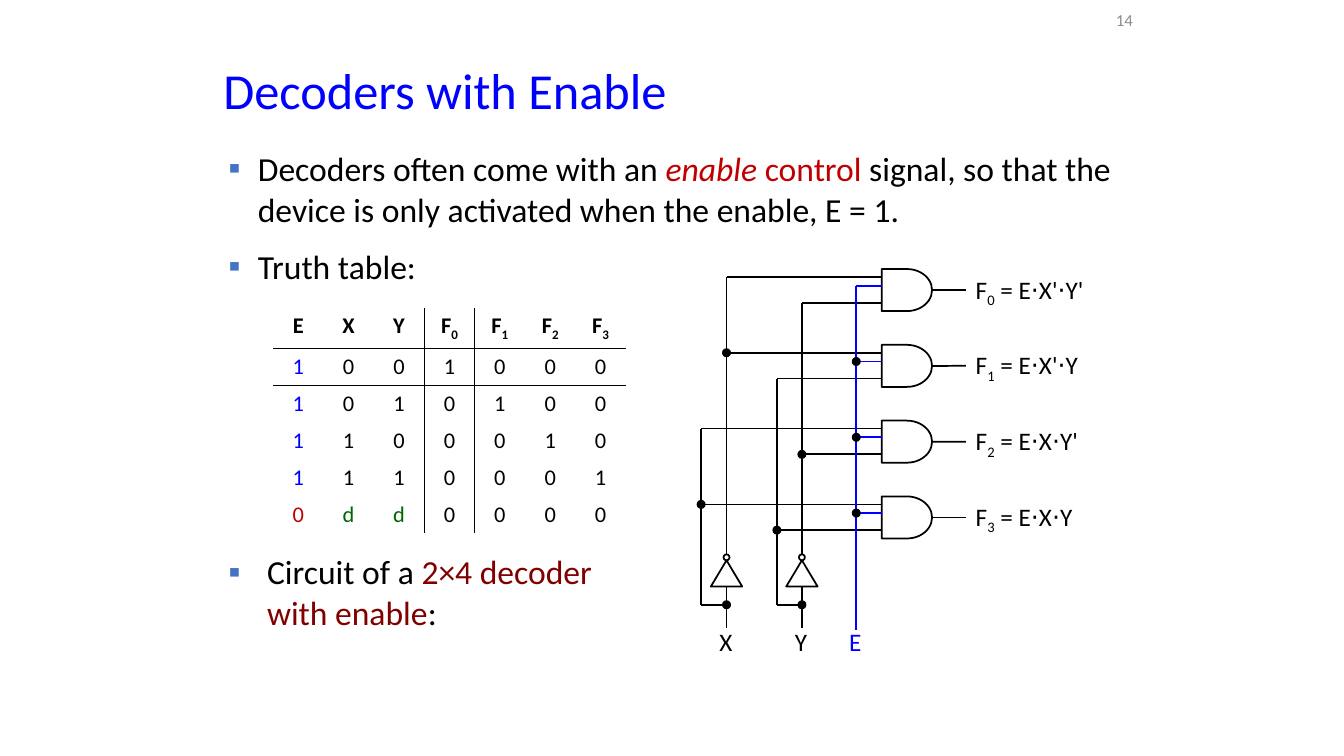
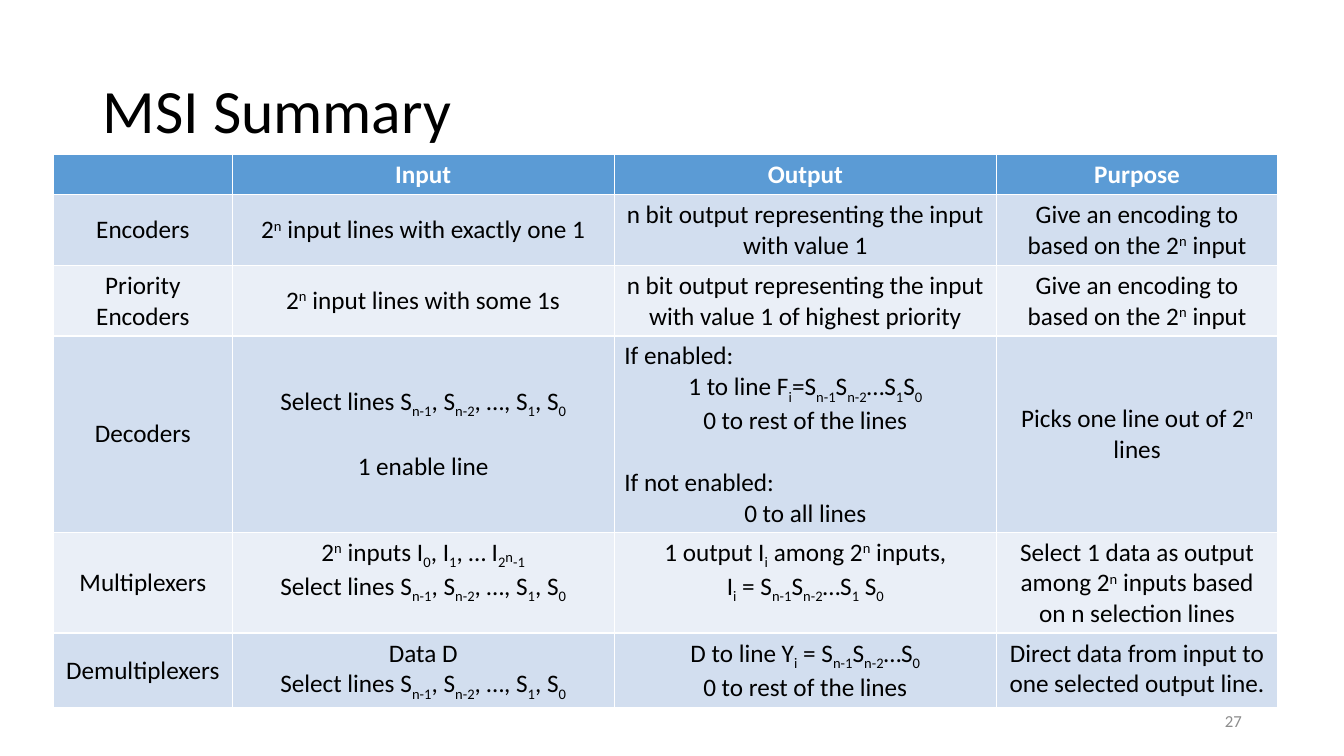
from dataclasses import dataclass
from typing import NamedTuple

from lxml import etree
from pptx import Presentation
from pptx.dml.color import RGBColor
from pptx.enum.shapes import MSO_CONNECTOR, MSO_SHAPE
from pptx.enum.text import MSO_ANCHOR, PP_ALIGN
from pptx.oxml.ns import qn
from pptx.util import Cm, Pt

LEFT, CENTER, RIGHT = PP_ALIGN.LEFT, PP_ALIGN.CENTER, PP_ALIGN.RIGHT
TOP, MIDDLE = MSO_ANCHOR.TOP, MSO_ANCHOR.MIDDLE
GATE, TRIANGLE, OVAL = (MSO_SHAPE.FLOWCHART_DELAY, MSO_SHAPE.ISOSCELES_TRIANGLE,
                        MSO_SHAPE.OVAL)
STRAIGHT = MSO_CONNECTOR.STRAIGHT
PLAIN_TABLE_STYLE = "{2D5ABB26-0587-4C30-8999-92F81FD0307C}"


@dataclass(frozen=True)
class Theme:
    font: str = "Calibri"
    black: str = "000000"
    white: str = "FFFFFF"
    blue: str = "0000FF"
    red: str = "C00000"
    maroon: str = "800000"
    green: str = "006600"
    grey: str = "8C8C8C"
    bullet: str = "4472C4"
    header: str = "5B9BD5"
    bands: tuple = ("D2DEEF", "EAEFF7")
    summary_title: int = 44
    title: int = 36
    body: int = 24
    label: int = 18
    truth: int = 16
    page: int = 12
    wire: float = 1.25


class Box(NamedTuple):
    """A region of the slide in centimetres."""
    left: float
    top: float
    width: float
    height: float


THEME = Theme()

# The first letter inside braces chooses the format of that run.
RUN_MARKS = {
    "_": {"baseline": -25000},
    "^": {"baseline": 30000},
    "~": {"baseline": -6000},
    "!": {"color": THEME.red},
    "/": {"color": THEME.red, "italic": True},
    "#": {"color": THEME.maroon},
}


def rgb(value):
    return RGBColor.from_string(value)


def add_run(paragraph, text, size, color, bold=False, italic=False, baseline=0):
    run = paragraph.add_run()
    run.text = text
    font = run.font
    font.name, font.size = THEME.font, Pt(size)
    font.bold, font.italic = bold, italic
    font.color.rgb = rgb(color)
    if baseline:
        run._r.get_or_add_rPr().set("baseline", str(baseline))


def set_bullet(paragraph, indent):
    props = paragraph._p.get_or_add_pPr()
    props.set("marL", str(Cm(indent)))
    props.set("indent", str(-Cm(indent)))
    color = etree.SubElement(props, qn("a:buClr"))
    etree.SubElement(color, qn("a:srgbClr")).set("val", THEME.bullet)
    etree.SubElement(props, qn("a:buFont")).set("typeface", THEME.font)
    etree.SubElement(props, qn("a:buChar")).set("char", "▪")


def write_text(frame, paragraphs, size=THEME.label, color=THEME.black, bold=False,
               align=LEFT, gap=0, line_spacing=None, bullet_indent=None):
    """Write marked-up paragraphs; a (text, format) pair overrides align or gap."""
    if isinstance(paragraphs, str):
        paragraphs = [paragraphs]
    for number, item in enumerate(paragraphs):
        text, own = (item, {}) if isinstance(item, str) else item
        paragraph = frame.add_paragraph() if number else frame.paragraphs[0]
        paragraph.alignment = own.get("align", align)
        paragraph.space_before = Pt(own.get("gap", gap))
        if line_spacing:
            paragraph.line_spacing = line_spacing
        if bullet_indent:
            set_bullet(paragraph, bullet_indent)
        for position, part in enumerate(text.replace("}", "{").split("{")):
            look = {"size": size, "color": color, "bold": bold}
            if position % 2:
                look.update(RUN_MARKS[part[0]])
                part = part[1:]
            if part:
                add_run(paragraph, part, **look)


def add_text(slide, box, paragraphs, anchor=TOP, **text_format):
    frame = slide.shapes.add_textbox(*map(Cm, box)).text_frame
    frame.word_wrap = True
    frame.vertical_anchor = anchor
    write_text(frame, paragraphs, **text_format)


def add_title(slide, box, text, **text_format):
    add_text(slide, box, text, anchor=MIDDLE, line_spacing=0.9, **text_format)


def add_page_number(slide, box, number):
    add_text(slide, box, number, anchor=MIDDLE, align=RIGHT,
             size=THEME.page, color=THEME.grey)


def add_outline(slide, kind, box, fill=None, width=THEME.wire):
    outline = slide.shapes.add_shape(kind, *map(Cm, box))
    outline.shadow.inherit = False
    outline.line.color.rgb = rgb(THEME.black)
    outline.line.width = Pt(width)
    if fill:
        outline.fill.solid()
        outline.fill.fore_color.rgb = rgb(fill)
    else:
        outline.fill.background()
    return outline


def add_wire(slide, x1, y1, x2, y2, color=THEME.black):
    wire = slide.shapes.add_connector(STRAIGHT, *map(Cm, (x1, y1, x2, y2)))
    wire.line.color.rgb = rgb(color)
    wire.line.width = Pt(THEME.wire)
    etree.SubElement(wire._element.spPr, qn("a:effectLst"))
    return wire


def add_junction(slide, x, y, size=0.2):
    add_outline(slide, OVAL, Box(x - size / 2, y - size / 2, size, size),
                fill=THEME.black, width=0.75)


def add_grid(slide, box, widths, row_heights):
    table = slide.shapes.add_table(len(row_heights), len(widths), *map(Cm, box)).table
    for column, width in zip(table.columns, widths):
        column.width = Cm(width)
    for row, height in zip(table.rows, row_heights):
        row.height = Cm(height)
    return table


def rule_cell(cell, side):
    """Draw a black rule on one side ("lnR" or "lnB") of a cell."""
    line = etree.Element(qn("a:" + side), w=str(Pt(1)))
    fill = etree.SubElement(line, qn("a:solidFill"))
    etree.SubElement(fill, qn("a:srgbClr")).set("val", THEME.black)
    props = cell._tc.get_or_add_tcPr()
    props.insert(len(props.findall(qn("a:lnR"))), line)


def truth_color(row, column, value):
    if row == 0:
        return THEME.black
    if column == 0:
        return THEME.blue if value == "1" else THEME.red
    return THEME.green if value == "d" else THEME.black


def add_truth_table(slide, box):
    rows = [["E", "X", "Y", "F{_0}", "F{_1}", "F{_2}", "F{_3}"],
            "1001000", "1010100", "1100010", "1110001", "0dd0000"]
    columns = len(rows[0])
    table = add_grid(slide, box, [box.width / columns] * columns,
                     [box.height / len(rows)] * len(rows))
    table.first_row = table.horz_banding = False
    table._tbl.tblPr.find(qn("a:tableStyleId")).text = PLAIN_TABLE_STYLE
    for r, values in enumerate(rows):
        for c, value in enumerate(values):
            cell = table.cell(r, c)
            cell.fill.background()
            write_text(cell.text_frame, value, size=THEME.truth, bold=r == 0,
                       align=CENTER, color=truth_color(r, c, value))
            if c in (2, 3):
                rule_cell(cell, "lnR")
            if r in (0, 1):
                rule_cell(cell, "lnB")


def add_decoder_circuit(slide, box):
    """Draw four AND gates fed by X, Y, their complements and E."""
    gate_pitch, gate_width, gate_height = 1.91, 1.27, 1.06
    upper_pin, enable_pin, lower_pin = 0.2, 0.42, 0.85
    bubble_top, bubble, inverter_width, inverter_height = 7.19, 0.15, 0.79, 0.66
    x, x_not, y, y_not, enable, gate = (
        box.left + offset for offset in (0, 0.64, 1.91, 2.54, 3.91, 4.55))
    output = gate + gate_width
    formula = output + 0.85
    bubble_y = box.top + bubble_top
    inverter_y = bubble_y + bubble
    branch_y = box.top + 8.46
    stem_end = box.top + 9.04
    label_y = box.top + 8.89

    def pin_y(row, pin):
        return box.top + row * gate_pitch + pin

    formulas = ["E⋅X'⋅Y'", "E⋅X'⋅Y", "E⋅X⋅Y'", "E⋅X⋅Y"]
    for row, product in enumerate(formulas):
        top = pin_y(row, 0)
        and_gate = add_outline(slide, GATE, Box(gate, top, gate_width, gate_height))
        middle = top + gate_height / 2
        add_wire(slide, output, middle, formula, middle).begin_connect(and_gate, 3)
        add_text(slide, Box(formula, top, 4.02, 1.02), f"F{{_{row}}} = {product}")
        pin = pin_y(row, enable_pin)
        add_wire(slide, enable, pin, gate, pin, THEME.blue)

    # Each rail feeds one pin of two gates and runs down to its end.
    for rail, pin, gate_rows, end in [(x_not, upper_pin, (0, 1), bubble_y),
                                      (x, upper_pin, (2, 3), branch_y),
                                      (y_not, lower_pin, (0, 2), bubble_y),
                                      (y, lower_pin, (1, 3), branch_y)]:
        first, second = (pin_y(row, pin) for row in gate_rows)
        add_wire(slide, rail, first, rail, end)
        for level in (first, second):
            add_wire(slide, rail, level, gate, level)
        add_junction(slide, rail, second)

    for name, direct, inverted in [("X", x, x_not), ("Y", y, y_not)]:
        add_outline(slide, OVAL,
                    Box(inverted - bubble / 2, bubble_y, bubble, bubble))
        add_outline(slide, TRIANGLE, Box(inverted - inverter_width / 2, inverter_y,
                                         inverter_width, inverter_height))
        add_wire(slide, inverted, inverter_y + inverter_height, inverted, stem_end)
        add_wire(slide, direct, branch_y, inverted, branch_y)
        add_junction(slide, inverted, branch_y)
        add_text(slide, Box(inverted - 0.43, label_y, 1.07, 1.02), name)

    add_wire(slide, enable, pin_y(0, enable_pin), enable, box.top + box.height,
             THEME.blue)
    for row in (1, 2, 3):
        add_junction(slide, enable, pin_y(row, enable_pin))
    add_text(slide, Box(enable - 0.43, label_y, 1.07, 1.02), "E", color=THEME.blue)


def add_summary_table(slide, box):
    select = "Select lines S{_n-1}, S{_n-2}, …, S{_1}, S{_0}"
    encoding = "Give an encoding to based on the 2{^n} input"
    rest = "0 to rest of the lines"
    rows = [
        ["", "Input", "Output", "Purpose"],
        ["Encoders", "2{^n} input lines with exactly one 1",
         "n bit output representing the input with value 1", encoding],
        ["Priority Encoders", "2{^n} input lines with some 1s",
         "n bit output representing the input with value 1 of highest priority",
         encoding],
        ["Decoders", [select, ("1 enable line", {"gap": 22})],
         [("If enabled:", {"align": LEFT}),
          "1 to line F{_i}=S{_n-1}S{_n-2}…S{_1}S{_0}", rest,
          ("If not enabled:", {"align": LEFT, "gap": 22}), "0 to all lines"],
         "Picks one line out of 2{^n} lines"],
        ["Multiplexers", ["2{^n} inputs I{_0}, I{_1}, … I{_2}{~n}{_-1}", select],
         ["1 output I{_i} among 2{^n} inputs,",
          "I{_i} = S{_n-1}S{_n-2}…S{_1} S{_0}"],
         "Select 1 data as output among 2{^n} inputs based on n selection lines"],
        ["Demultiplexers", ["Data D", select],
         ["D to line Y{_i} = S{_n-1}S{_n-2}…S{_0}", rest],
         "Direct data from input to one selected output line."],
    ]
    table = add_grid(slide, box, [4.5, 9.63, 9.63, 7.09], [0.56] + [1.04] * 5)
    for r, values in enumerate(rows):
        header = r == 0
        for c, value in enumerate(values):
            cell = table.cell(r, c)
            cell.fill.solid()
            cell.fill.fore_color.rgb = rgb(
                THEME.header if header else THEME.bands[(r - 1) % 2])
            top_aligned = header or (r > 3 and c > 0)
            cell.vertical_anchor = TOP if top_aligned else MIDDLE
            write_text(cell.text_frame, value, align=CENTER, bold=header,
                       color=THEME.white if header else THEME.black)


def build_decoder_slide(slide):
    add_title(slide, Box(5.38, 1.45, 23.77, 1.78), "Decoders with Enable",
              size=THEME.title, color=THEME.blue)
    add_page_number(slide, Box(26.39, 0.05, 2.41, 0.91), "14")
    add_text(slide, Box(5.51, 3.61, 22.86, 4.01),
             ["Decoders often come with an {/enable}{! control }signal, so that the "
              "device is only activated when the enable, E = 1.", "Truth table:"],
             size=THEME.body, gap=12, bullet_indent=0.74)
    add_text(slide, Box(5.51, 13.77, 10.8, 2.74),
             "Circuit of a {#2×4 decoder with enable}:",
             size=THEME.body, gap=12, bullet_indent=0.97)
    add_decoder_circuit(slide, Box(17.67, 6.78, 10.69, 9.1))
    add_truth_table(slide, Box(6.88, 7.75, 8.89, 5.04))


def build_summary_slide(slide):
    add_title(slide, Box(2.34, 1.02, 29.21, 3.68), "MSI Summary",
              size=THEME.summary_title)
    add_summary_table(slide, Box(1.35, 3.89, 30.85, 5.76))
    add_page_number(slide, Box(23.93, 17.65, 7.62, 1.02), "27")


def main():
    deck = Presentation()
    deck.slide_width, deck.slide_height = Cm(33.87), Cm(19.05)
    for build in (build_decoder_slide, build_summary_slide):
        build(deck.slides.add_slide(deck.slide_layouts[6]))
    deck.save("out.pptx")


if __name__ == "__main__":
    main()
